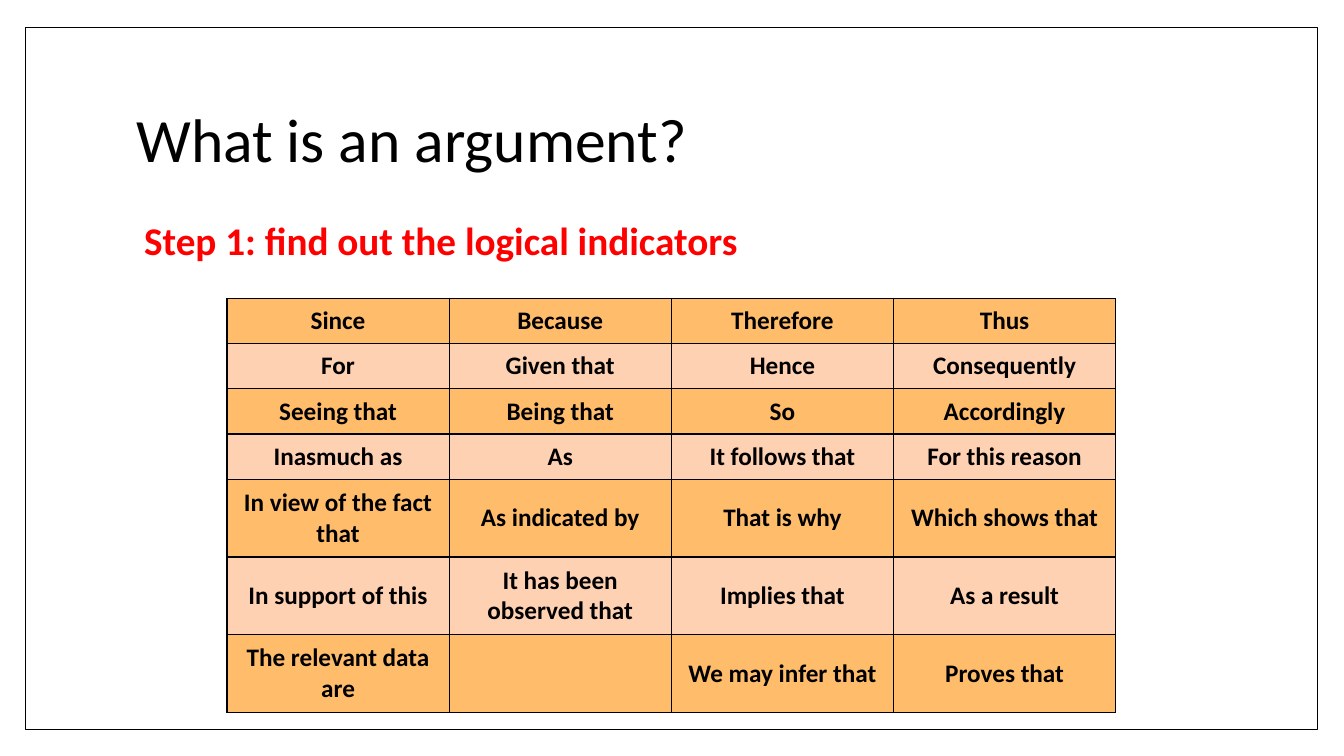
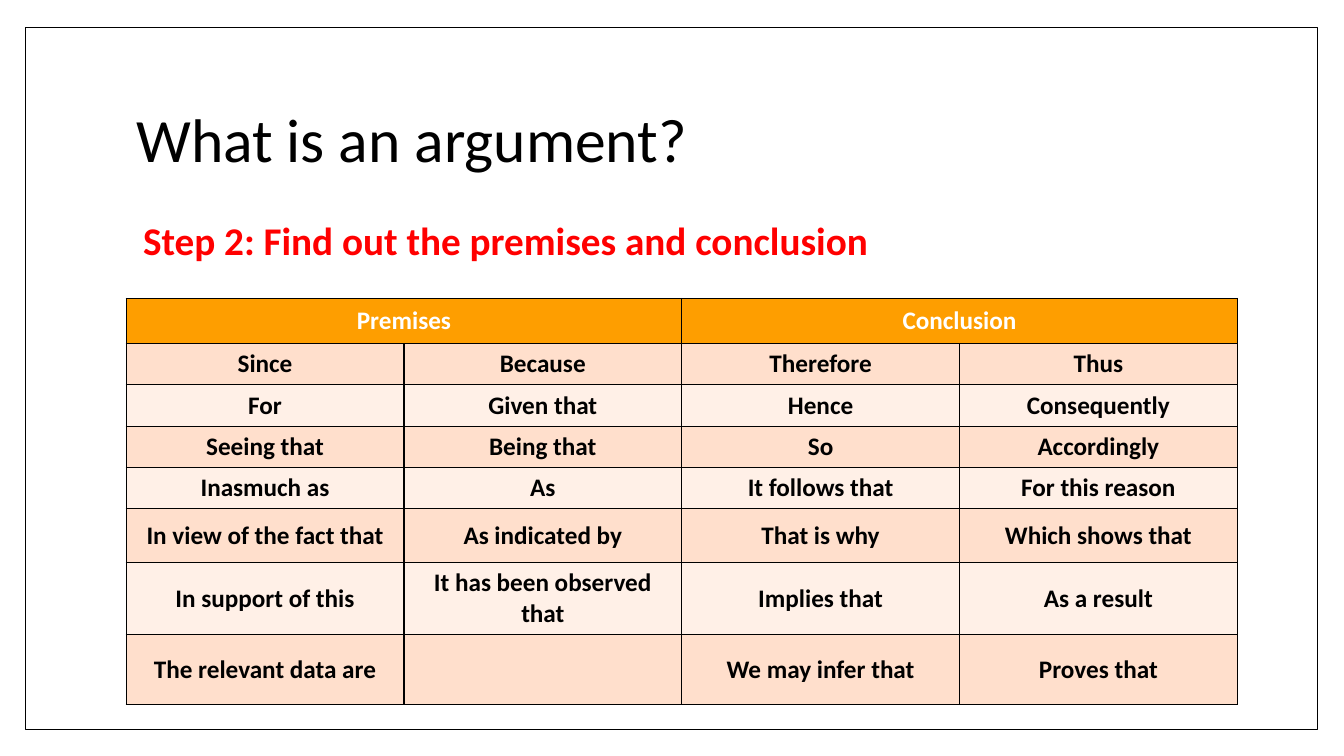
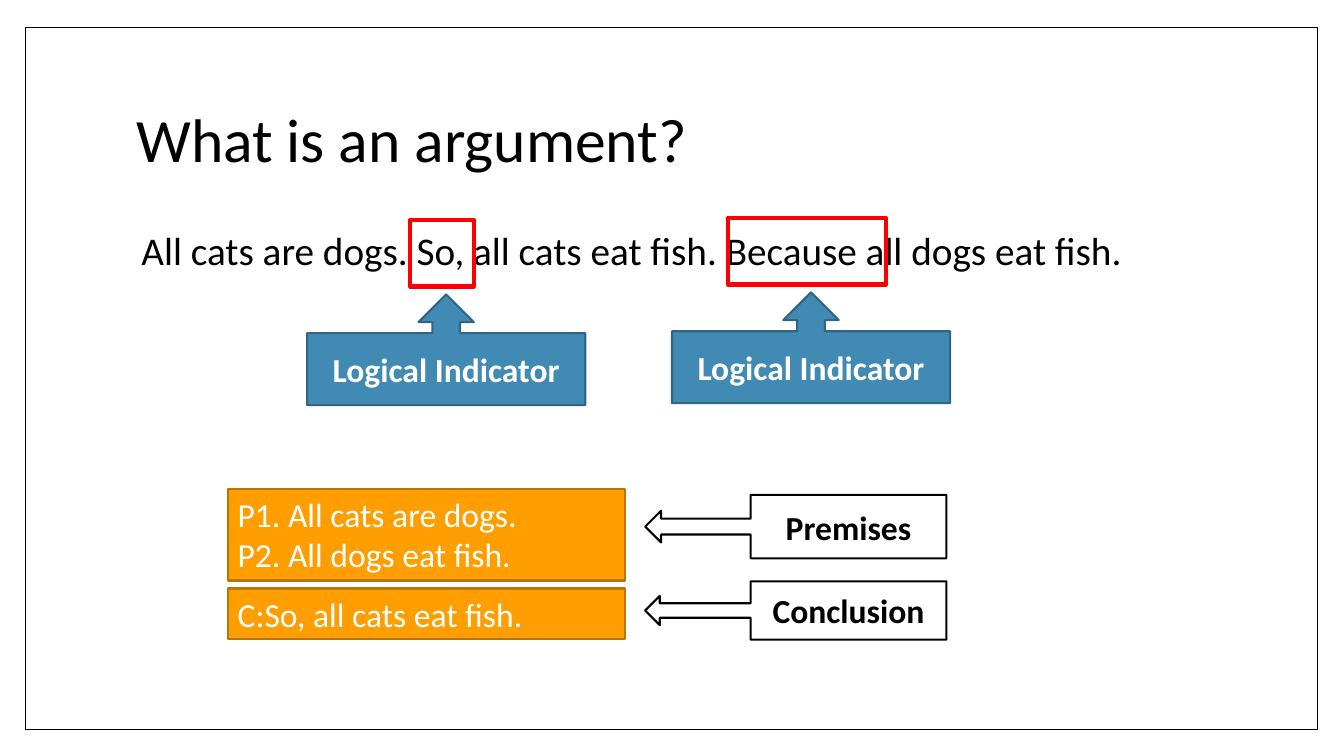
from pptx import Presentation
from pptx.dml.color import RGBColor
from pptx.enum.shapes import MSO_SHAPE as Kind
from pptx.enum.text import MSO_ANCHOR as Anchor, MSO_AUTO_SIZE as Fit, PP_ALIGN as Align
from pptx.oxml.ns import qn
from pptx.util import Cm, Pt
from lxml.etree import SubElement as Sub

FONT = "Calibri"
BLACK, WHITE, RED = "000000", "FFFFFF", "FF0000"
GOLD, RUST, BLUE, NAVY = "FE9E00", "BC7500", "418AB3", "306684"
WARM = ("FFBD6B", "FFD1B3")
PALE = ("FFDFCC", "FFF0E7")
TITLE = "What is an argument?"
HEADS = ["Premises", "", "Conclusion", ""]
WORDS = [
    ["Since", "Because", "Therefore", "Thus"],
    ["For", "Given that", "Hence", "Consequently"],
    ["Seeing that", "Being that", "So", "Accordingly"],
    ["Inasmuch as", "As", "It follows that", "For this reason"],
    ["In view of the fact that", "As indicated by", "That is why", "Which shows that"],
    ["In support of this", "It has been observed that", "Implies that", "As a result"],
    ["The relevant data are", "", "We may infer that", "Proves that"],
]


def tint(hue):
    return RGBColor.from_string(hue)


def place(shape, box):
    shape.left, shape.top, shape.width, shape.height = map(Cm, box)


def write(para, text, size, hue, bold=False, align=Align.LEFT):
    para.alignment = align
    run = para.add_run()
    run.text = text
    font = run.font
    font.name, font.size, font.bold = FONT, Pt(size), bold
    font.color.rgb = tint(hue)


def draw(slide, kind, box, fill, line, width):
    shape = slide.shapes.add_shape(kind, *map(Cm, box))
    shape.shadow.inherit = False
    if fill:
        shape.fill.solid()
        shape.fill.fore_color.rgb = tint(fill)
    else:
        shape.fill.background()
    shape.line.color.rgb = tint(line)
    shape.line.width = Pt(width)
    return shape


def label(shape, text, hue):
    frame = shape.text_frame
    frame.word_wrap = True
    frame.vertical_anchor = Anchor.MIDDLE
    write(frame.paragraphs[0], text, 24, hue, True, Align.CENTER)


def add_frame(deck, slide):
    frame = draw(slide, Kind.RECTANGLE, (0.64, 0.69, 32.56, 17.7), WHITE, BLACK, 1)
    deck.slide_master.shapes.element.insert(2, frame.element)


def add_title(slide):
    title = slide.shapes.title
    place(title, (3.18, 1.7, 27.43, 3.76))
    frame = title.text_frame
    frame.auto_size = Fit.NONE
    frame.vertical_anchor = Anchor.MIDDLE
    para = frame.paragraphs[0]
    para.line_spacing = 0.9
    write(para, TITLE, 44, BLACK)


def add_body(slide, box, text, hue, bold):
    body = slide.placeholders[1]
    place(body, box)
    frame = body.text_frame
    frame.auto_size = Fit.NONE
    frame.vertical_anchor = Anchor.TOP
    para = frame.paragraphs[0]
    para.line_spacing = 0.9
    para.space_before = Pt(14)
    write(para, text, 28, hue, bold)
    props = para._p.get_or_add_pPr()
    props.set("marL", str(Cm(0.13)))
    props.set("indent", "0")
    Sub(props, qn("a:buNone"))


def edge(cell):
    props = cell._tc.get_or_add_tcPr()
    for side in ("lnL", "lnR", "lnT", "lnB"):
        line = Sub(props, qn("a:" + side), w=str(Pt(1)))
        Sub(Sub(line, qn("a:solidFill")), qn("a:srgbClr"), val=BLACK)


def fill_cell(cell, text, fill, hue):
    edge(cell)
    cell.fill.solid()
    cell.fill.fore_color.rgb = tint(fill)
    cell.vertical_anchor = Anchor.MIDDLE
    if text:
        write(cell.text_frame.paragraphs[0], text, 18, hue, True, Align.CENTER)


def add_grid(slide, box, highs, bands, heads=None):
    left, top, wide = box
    rows = ([heads] if heads else []) + WORDS
    size = Cm(left), Cm(top), Cm(wide), Cm(sum(highs))
    grid = slide.shapes.add_table(len(rows), 4, *size).table
    grid.first_row = grid.horz_banding = False
    for col in grid.columns:
        col.width = Cm(wide / 4)
    skip = len(rows) - len(WORDS)
    for i, (row, high) in enumerate(zip(rows, highs)):
        grid.rows[i].height = Cm(high)
        top_row = i < skip
        fill = GOLD if top_row else bands[(i - skip) % 2]
        for j, text in enumerate(row):
            fill_cell(grid.cell(i, j), text, fill, WHITE if top_row else BLACK)
    if heads:
        for j in (0, 2):
            grid.cell(0, j).merge(grid.cell(0, j + 1))


def add_mark(slide, box):
    left, top, wide, high = box
    draw(slide, Kind.RECTANGLE, box, None, RED, 3)
    spot = (left + wide / 2 - 3.4, top + 1.88, 7.01, 2.79)
    call = draw(slide, Kind.UP_ARROW_CALLOUT, spot, BLUE, NAVY, 1.5)
    label(call, "Logical Indicator", WHITE)


def add_part(slide, box, lines, name, drop, tall):
    left, top, wide, high = box
    panel = draw(slide, Kind.RECTANGLE, box, GOLD, RUST, 1.5)
    frame = panel.text_frame
    frame.word_wrap = True
    frame.auto_size = Fit.SHAPE_TO_FIT_TEXT
    frame.vertical_anchor = Anchor.TOP
    for i, text in enumerate(lines):
        para = frame.add_paragraph() if i else frame.paragraphs[0]
        write(para, text, 24, WHITE)
    spot = (left + wide + 0.51, top + drop, 7.59, tall)
    call = draw(slide, Kind.LEFT_ARROW_CALLOUT, spot, None, BLACK, 1.5)
    label(call, name, BLACK)


def add_page(deck):
    slide = deck.slides.add_slide(deck.slide_layouts[1])
    add_title(slide)
    return slide


def find_words(slide):
    add_body(slide, (3.25, 5.46, 29.08, 1.88),
             "Step 1: find out the logical indicators", RED, True)
    add_grid(slide, (5.72, 7.52, 22.4), [1.14] * 4 + [1.96] * 3, WARM)


def find_parts(slide):
    add_body(slide, (3.22, 5.46, 27.43, 10.87),
             "Step 2: Find out the premises and conclusion", RED, True)
    highs = [1.14] + [1.04] * 4 + [1.36, 1.8, 1.77]
    add_grid(slide, (3.18, 7.52, 28), highs, PALE, HEADS)


def show_case(slide):
    add_body(slide, (3.18, 5.72, 27.43, 11.23),
             "All cats are dogs. So, all cats eat fish. Because all dogs eat fish.",
             BLACK, False)
    add_mark(slide, (10.34, 5.54, 1.6, 1.68))
    add_mark(slide, (18.34, 5.49, 3.99, 1.68))
    add_part(slide, (5.74, 12.32, 10.01, 2.31),
             ["P1. All cats are dogs.", "P2. All dogs eat fish."],
             "Premises", 0.15, 1.6)
    add_part(slide, (5.74, 14.83, 10.01, 1.28),
             ["C:So, all cats eat fish."], "Conclusion", -0.18, 1.47)


def main():
    deck = Presentation()
    deck.slide_width, deck.slide_height = Cm(33.87), Cm(19.05)
    for i, build in enumerate((find_words, find_parts, show_case)):
        slide = add_page(deck)
        if i == 0:
            add_frame(deck, slide)
        build(slide)
    deck.save("out.pptx")


if __name__ == "__main__":
    main()
